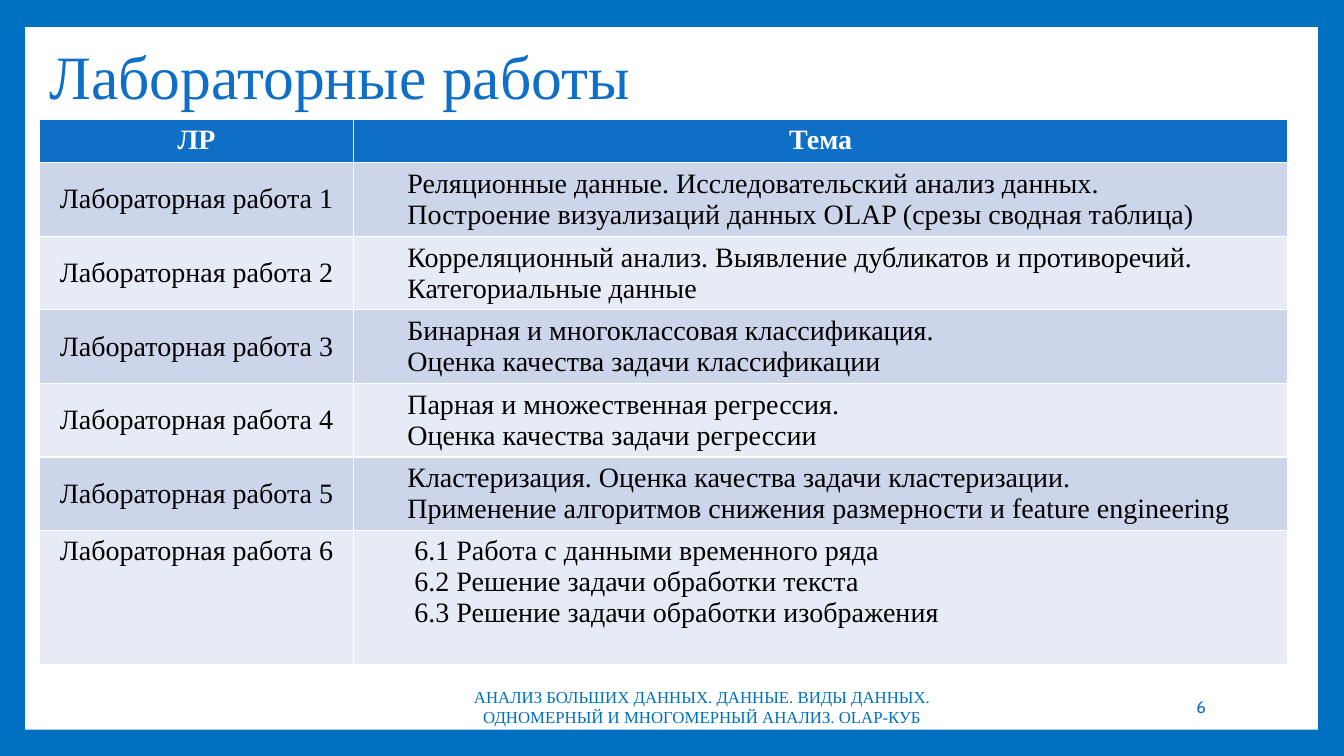
from pptx import Presentation
from pptx.dml.color import RGBColor
from pptx.enum.shapes import MSO_SHAPE
from pptx.enum.text import MSO_ANCHOR, MSO_AUTO_SIZE, PP_ALIGN
from pptx.util import Inches, Pt

RECT = MSO_SHAPE.RECTANGLE
TOP, MIDDLE = MSO_ANCHOR.TOP, MSO_ANCHOR.MIDDLE
LEFT, CENTER, RIGHT = PP_ALIGN.LEFT, PP_ALIGN.CENTER, PP_ALIGN.RIGHT
NO_FIT = MSO_AUTO_SIZE.NONE

BLUE = RGBColor(0x00, 0x70, 0xC0)
ACCENT = RGBColor(0x0F, 0x6F, 0xC6)
WHITE = RGBColor(0xFF, 0xFF, 0xFF)
BLACK = RGBColor(0x00, 0x00, 0x00)
BANDS = (RGBColor(0xCC, 0xD5, 0xEA), RGBColor(0xE7, 0xEB, 0xF5))

SERIF = "Times New Roman"
WIDTHS = (3.12, 9.26)
HEIGHTS = (0.4, *[0.73] * 5, 1.33)
TOPICS = (
    ("Реляционные данные. Исследовательский анализ данных.",
     "Построение визуализаций данных OLAP (срезы сводная таблица)"),
    ("Корреляционный анализ. Выявление дубликатов и противоречий. "
     "Категориальные данные",),
    ("Бинарная и многоклассовая классификация.",
     "Оценка качества задачи классификации"),
    ("Парная и множественная регрессия.",
     "Оценка качества задачи регрессии"),
    ("Кластеризация. Оценка качества задачи кластеризации.",
     "Применение алгоритмов снижения размерности и feature engineering"),
    ("6.1 Работа с данными временного ряда",
     "6.2 Решение задачи обработки текста",
     "6.3 Решение задачи обработки изображения"),
)


def write(frame, *lines, size=20, color=BLACK, font=SERIF, bold=False,
          align=LEFT, indent=0, spacing=None):
    """Fill a text frame with one paragraph per line."""
    frame.word_wrap = True
    for i, line in enumerate(lines):
        para = frame.add_paragraph() if i else frame.paragraphs[0]
        para.alignment = align
        if spacing:
            para.line_spacing = spacing
        if indent:
            para.level = 1
            props = para._p.get_or_add_pPr()
            props.set("marL", str(Inches(indent)))
            props.set("indent", "0")
        run = para.add_run()
        run.text = line
        run.font.name = font
        run.font.size = Pt(size)
        run.font.bold = bold
        run.font.color.rgb = color


def add_frame(slide):
    slide.background.fill.solid()
    slide.background.fill.fore_color.rgb = BLUE
    panel = slide.shapes.add_shape(
        RECT, Inches(0.25), Inches(0.27), Inches(12.82), Inches(6.97))
    panel.shadow.inherit = False
    panel.fill.solid()
    panel.fill.fore_color.rgb = WHITE
    panel.line.fill.background()
    # Place the panel behind the title
    slide.shapes._spTree.insert(2, panel._element)


def add_title(slide, text):
    title = slide.shapes.title
    title.left, title.top = Inches(0.39), Inches(0.49)
    title.width, title.height = Inches(11.16), Inches(0.59)
    frame = title.text_frame
    frame.auto_size = NO_FIT
    frame.vertical_anchor = MIDDLE
    write(frame, text, size=44, color=ACCENT, spacing=0.9)


def add_note(slide, text, left, width, **style):
    box = slide.shapes.add_textbox(
        Inches(left), Inches(6.81), Inches(width), Inches(0.4))
    box.text_frame.vertical_anchor = MIDDLE
    write(box.text_frame, text, size=12, **style)


def fill_cell(cell, *lines, fill, tight=False, **style):
    cell.fill.solid()
    cell.fill.fore_color.rgb = fill
    cell.vertical_anchor = MIDDLE if tight else TOP
    if tight:
        cell.margin_left = cell.margin_right = Inches(0.03)
        cell.margin_top = cell.margin_bottom = Inches(0.02)
    write(cell.text_frame, *lines, **style)


def add_labs(slide):
    table = slide.shapes.add_table(
        len(HEIGHTS), len(WIDTHS), Inches(0.39), Inches(1.18),
        Inches(sum(WIDTHS)), Inches(sum(HEIGHTS))).table
    for col, width in zip(table.columns, WIDTHS):
        col.width = Inches(width)
    for row, height in zip(table.rows, HEIGHTS):
        row.height = Inches(height)

    # Header row
    for i, head in enumerate(("ЛР", "Тема")):
        fill_cell(table.cell(0, i), head, fill=ACCENT, color=WHITE,
                  bold=True, align=CENTER)

    # One banded row per lab; the last keeps wide margins
    for i, topic in enumerate(TOPICS, 1):
        look = {"fill": BANDS[(i - 1) % 2], "tight": i < len(TOPICS)}
        fill_cell(table.cell(i, 0), f"Лабораторная работа {i}",
                  align=CENTER, **look)
        fill_cell(table.cell(i, 1), *topic, indent=0.5, **look)


def main():
    deck = Presentation()
    deck.slide_width, deck.slide_height = Inches(13.33), Inches(7.5)
    slide = deck.slides.add_slide(deck.slide_layouts[5])
    add_frame(slide)
    add_title(slide, "Лабораторные работы")
    # Footer
    add_note(slide, "6", 10.2, 1.86, font="Cabin", color=ACCENT, align=RIGHT)
    add_note(slide, "АНАЛИЗ БОЛЬШИХ ДАННЫХ. ДАННЫЕ. ВИДЫ ДАННЫХ. "
             "ОДНОМЕРНЫЙ И МНОГОМЕРНЫЙ АНАЛИЗ. OLAP-КУБ",
             4.32, 5.29, color=BLUE, align=CENTER)
    add_labs(slide)
    deck.save("out.pptx")


if __name__ == "__main__":
    main()
